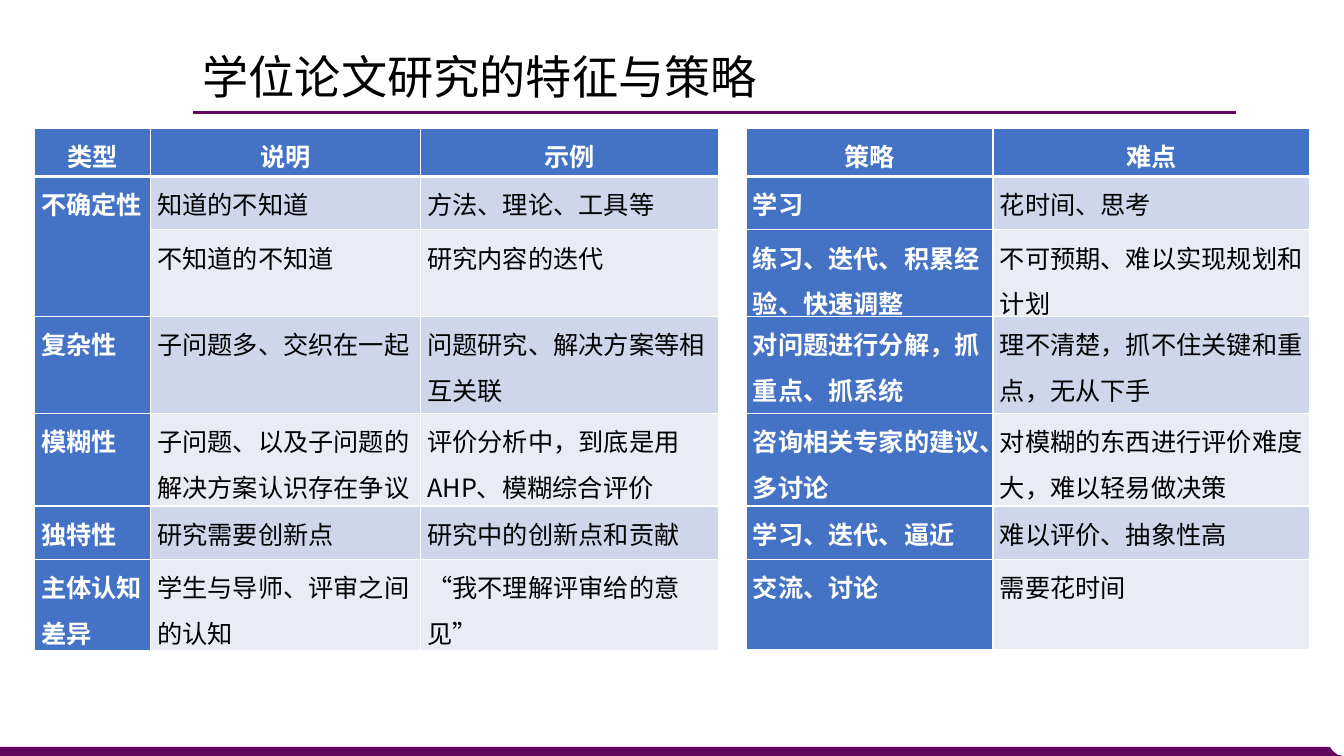
import pptx
import pptx.util
import pptx.dml.color
import pptx.enum.shapes
import pptx.enum.text
import pptx.oxml
import pptx.oxml.ns

FONT = "Noto Sans CJK SC"
PLUM, BLUE, WHITE, BLACK = "63065F", "4472C4", "FFFFFF", "000000"
BANDS = ["CFD5EA", "E9EBF5"]
ROWS = [6.4, 7.07, 11.47, 12.8, 12.27, 7.07, 11.87]

KINDS = [
    ["类型", "说明", "示例"],
    ["不确定性", "知道的不知道", "方法、理论、工具等"],
    ["", "不知道的不知道", "研究内容的迭代"],
    ["复杂性", "子问题多、交织在一起", "问题研究、解决方案等相互关联"],
    ["模糊性", "子问题、以及子问题的解决方案认识存在争议",
     "评价分析中，到底是用AHP、模糊综合评价"],
    ["独特性", "研究需要创新点", "研究中的创新点和贡献"],
    ["主体认知差异", "学生与导师、评审之间的认知", "“我不理解评审给的意见”"],
]
PLANS = [
    ["策略", "难点"],
    ["学习", "花时间、思考"],
    ["练习、迭代、积累经验、快速调整", "不可预期、难以实现规划和计划"],
    ["对问题进行分解，抓重点、抓系统", "理不清楚，抓不住关键和重点，无从下手"],
    ["咨询相关专家的建议、多讨论", "对模糊的东西进行评价难度大，难以轻易做决策"],
    ["学习、迭代、逼近", "难以评价、抽象性高"],
    ["交流、讨论", "需要花时间"],
]

deck = pptx.Presentation()
deck.slide_width = pptx.util.Inches(13.33)
deck.slide_height = pptx.util.Inches(7.5)


def across(share):
    return round(deck.slide_width * share / 100)


def down(share):
    return round(deck.slide_height * share / 100)


def paint(fill, tint):
    fill.solid()
    fill.fore_color.rgb = pptx.dml.color.RGBColor.from_string(tint)


def tag(xml):
    return pptx.oxml.parse_xml(xml.replace(" ", f" {pptx.oxml.ns.nsdecls('a')} ", 1))


def write(para, text, size, tint, bold=False):
    run = para.add_run()
    run.text = text
    font = run.font
    font.size, font.bold, font.name = pptx.util.Pt(size), bold, FONT
    paint(font.fill, tint)
    font._element.find(pptx.oxml.ns.qn("a:latin")).addnext(
        tag(f'<a:ea typeface="{FONT}"/>'))


def edge(cell, top, base):
    props = cell._tc.get_or_add_tcPr()
    sides = [("lnL", 1), ("lnR", 1), ("lnT", top), ("lnB", base)]
    for spot, (side, width) in enumerate(sides):
        props.insert(spot, tag(
            f'<a:{side} w="{width * 12700}"><a:solidFill>'
            f'<a:srgbClr val="{WHITE}"/></a:solidFill></a:{side}>'))


def fill_cell(cell, text, row, col):
    head = row == 0
    label = head or col == 0
    paint(cell.fill, BLUE if label else BANDS[(row - 1) % 2])
    edge(cell, 3 if row == 1 else 1, 3 if head else 1)
    cell.margin_left = cell.margin_right = pptx.util.Inches(0.07)
    cell.margin_top = cell.margin_bottom = 0
    para = cell.text_frame.paragraphs[0]
    para.line_spacing = 1.25
    if head:
        para.alignment = pptx.enum.text.PP_ALIGN.CENTER
    if text:
        write(para, text, 18, WHITE if label else BLACK, label)


def add_grid(slide, left, top, cols, data):
    frame = slide.shapes.add_table(len(data), len(cols), across(left), down(top),
                                   across(sum(cols)), down(sum(ROWS)))
    table = frame.table
    for col, share in zip(table.columns, cols):
        col.width = across(share)
    for row, share in zip(table.rows, ROWS):
        row.height = down(share)
    for row, line in enumerate(data):
        for col, text in enumerate(line):
            fill_cell(table.cell(row, col), text, row, col)
    return table


def add_title(slide, left, top, width, height, text):
    box = slide.shapes.add_textbox(across(left), down(top), across(width), down(height))
    frame = box.text_frame
    frame.word_wrap = True
    frame.vertical_anchor = pptx.enum.text.MSO_ANCHOR.MIDDLE
    para = frame.paragraphs[0]
    para.line_spacing = 0.9
    write(para, text, 33, BLACK)


def add_rule(slide, left, top, width):
    rule = slide.shapes.add_connector(
        pptx.enum.shapes.MSO_CONNECTOR.STRAIGHT,
        across(left), down(top), across(left + width), down(top))
    paint(rule.line.fill, PLUM)
    rule.line.width = pptx.util.Pt(2.25)
    rule._element.spPr.append(tag("<a:effectLst />"))


def add_foot(slide, top, height):
    curve = [(98.95, 0), (99.17, 0.44), (99.52, 0.86), (99.92, 1), (100, 1), (0, 1)]
    pen = slide.shapes.build_freeform(0, down(top))
    pen.add_line_segments([(across(x), down(top + y * height)) for x, y in curve])
    foot = pen.convert_to_shape()
    foot.shadow.inherit = False
    paint(foot.fill, PLUM)
    foot.line.fill.background()


def build():
    slide = deck.slides.add_slide(deck.slide_layouts[6])
    add_foot(slide, 98.8, 1.2)
    add_rule(slide, 14.33, 14.93, 77.64)
    kinds = add_grid(slide, 2.55, 16.93, [8.63, 20.1, 22.2], KINDS)
    kinds.cell(1, 0).merge(kinds.cell(2, 0))
    add_title(slide, 14.33, 5.87, 77.34, 9.2, "学位论文研究的特征与策略")
    add_grid(slide, 55.5, 16.93, [18.38, 23.56], PLANS)
    deck.save("out.pptx")


if __name__ == "__main__":
    build()
